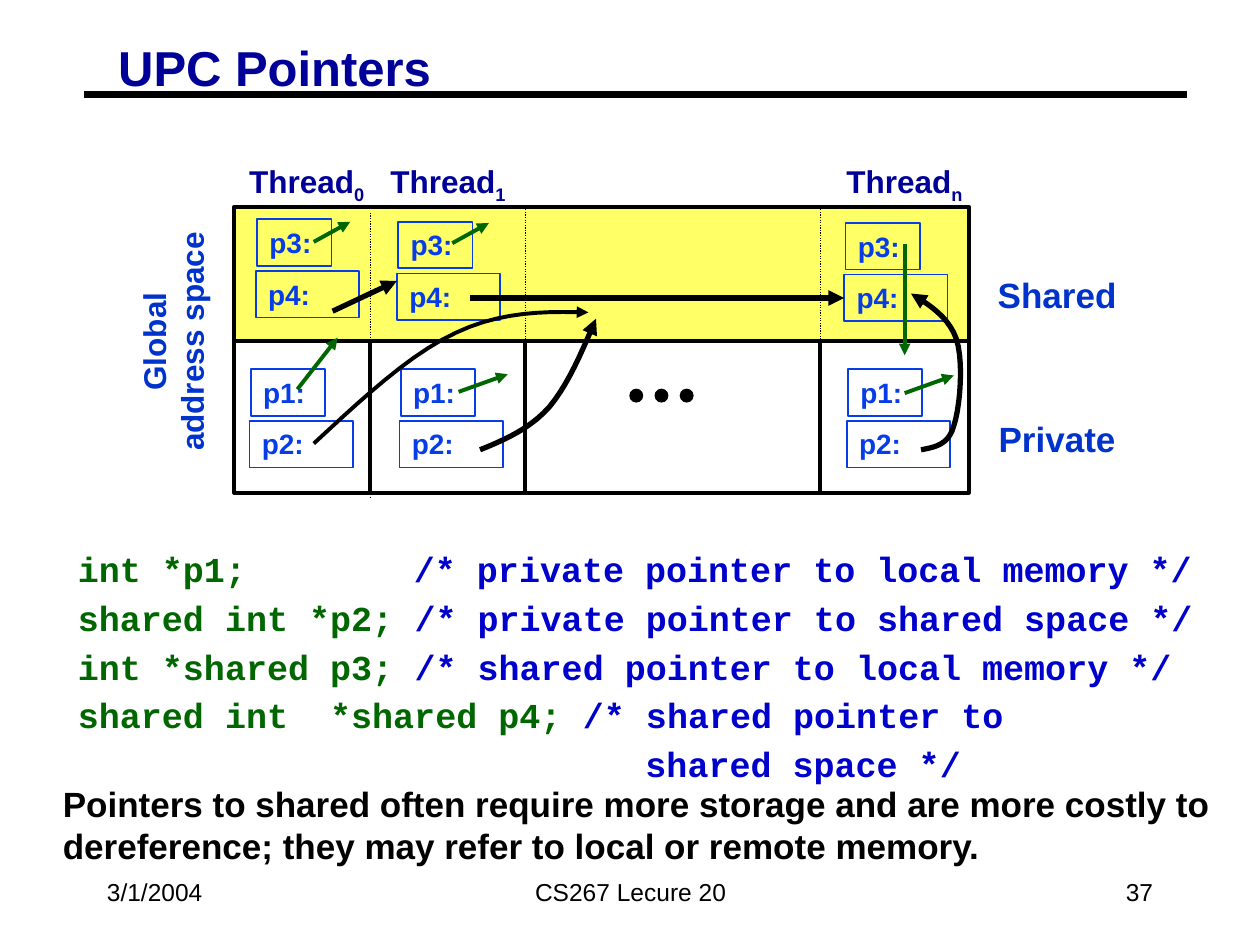
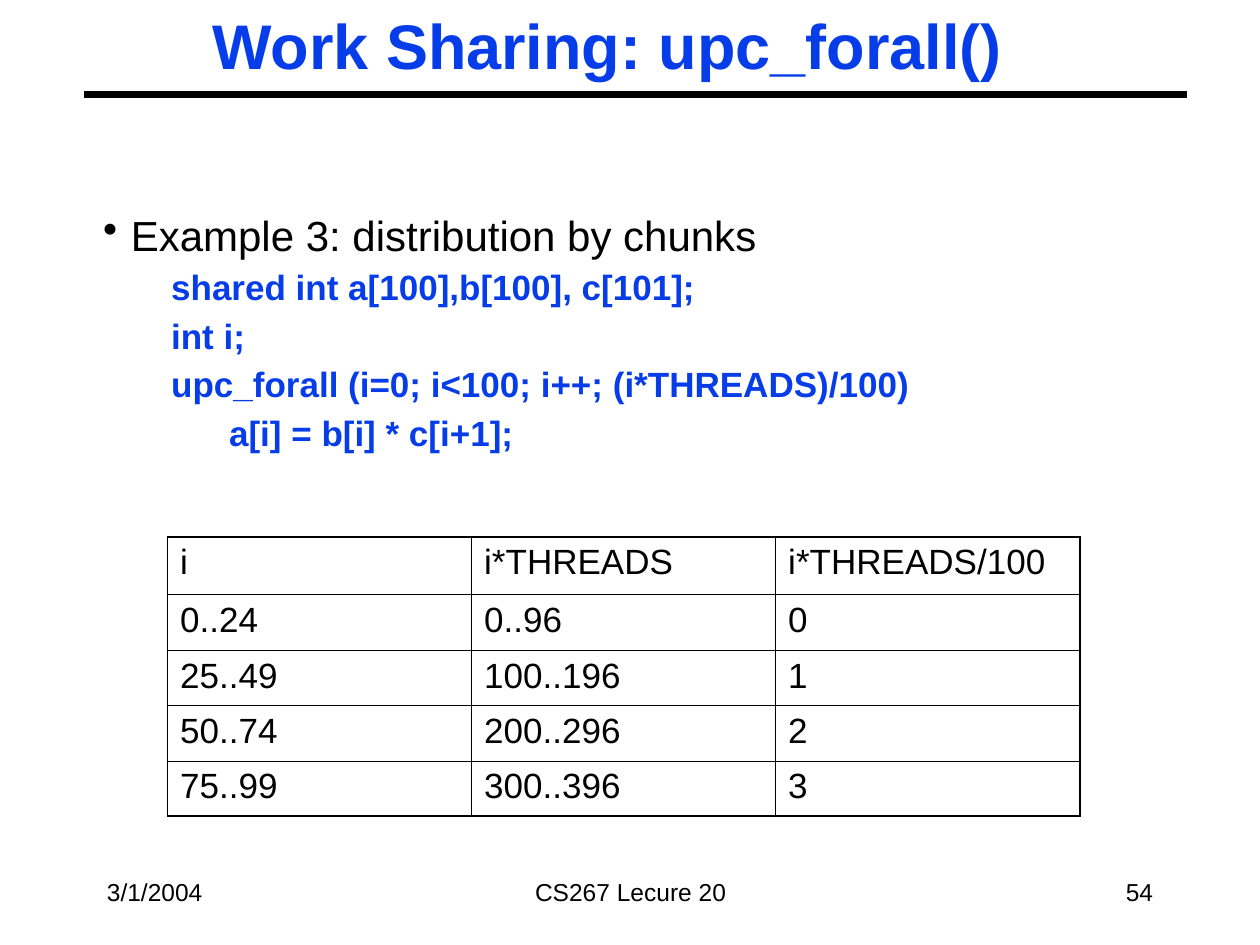
import dataclasses
import lxml.etree
import pptx
import pptx.dml.color
import pptx.enum.dml
import pptx.enum.shapes
import pptx.enum.text
import pptx.oxml.ns
import pptx.util

RGB = pptx.dml.color.RGBColor
BLACK = RGB(0x00, 0x00, 0x00)
NAVY = RGB(0x00, 0x00, 0x99)
BLUE = RGB(0x06, 0x3D, 0xE8)
ROYAL = RGB(0x00, 0x33, 0xCC)
NOTE = RGB(0x00, 0x00, 0xCC)
GREEN = RGB(0x00, 0x66, 0x00)
YELLOW = RGB(0xFF, 0xFF, 0x66)

WIDE, HIGH = pptx.util.Inches(10), pptx.util.Inches(7.5)
COLS, ROWS = 100, 75
ALIGN = pptx.enum.text.PP_ALIGN
MID = pptx.enum.text.MSO_ANCHOR.MIDDLE
RECT = pptx.enum.shapes.MSO_SHAPE.RECTANGLE
OVAL = pptx.enum.shapes.MSO_SHAPE.OVAL
DOTTED = pptx.enum.dml.MSO_LINE.ROUND_DOT
qn = pptx.oxml.ns.qn


def across(cols):
    return round(cols * WIDE / COLS)


def down(rows):
    return round(rows * HIGH / ROWS)


@dataclasses.dataclass
class Box:
    x: float
    y: float
    w: float
    h: float

    def inner(self, x, y, w, h):
        return Box(self.x + x, self.y + y, w, h)

    def spot(self, x, y):
        return across(self.x + x), down(self.y + y)

    def frame(self):
        return across(self.x), down(self.y), across(self.w), down(self.h)


PAGE = Box(0, 0, COLS, ROWS)


def add(parent, tag, **attrs):
    return lxml.etree.SubElement(parent, qn(tag), attrs)


def ink(shape, color, width, dash=None, head=False):
    shape.line.color.rgb = color
    shape.line.width = pptx.util.Pt(width)
    if dash:
        shape.line.dash_style = dash
    props = shape._element.spPr
    if head:
        add(props.find(qn("a:ln")), "a:tailEnd", type="triangle")
    add(props, "a:effectLst")


def style(font, size, color, bold, name):
    font.size = pptx.util.Pt(size)
    font.bold = bold
    font.name = name
    font.color.rgb = color


def fill(para, runs, size, color, bold=False, name="Arial"):
    if isinstance(runs, str):
        para.add_run().text = runs
        style(para.font, size, color, bold, name)
        return
    for text, tint, base in runs:
        run = para.add_run()
        run.text = text
        style(run.font, size, tint, bold, name)
        if base:
            run._r.get_or_add_rPr().set("baseline", str(base * 1000))


def write(frame, lines, size, color, bold=False, name="Arial", align=ALIGN.LEFT,
          anchor=pptx.enum.text.MSO_ANCHOR.TOP, gap=0, tabs=()):
    frame.word_wrap = True
    frame.vertical_anchor = anchor
    for i, runs in enumerate(lines):
        para = frame.paragraphs[0] if i == 0 else frame.add_paragraph()
        para.alignment = align
        if i and gap:
            para.space_before = pptx.util.Pt(gap)
        if tabs:
            stops = add(para._p.get_or_add_pPr(), "a:tabLst")
            for stop in tabs:
                add(stops, "a:tab", pos=str(across(stop)), algn="l")
        fill(para, runs, size, color, bold, name)


def label(slide, box, lines, size, color, **look):
    shape = slide.shapes.add_textbox(*box.frame())
    write(shape.text_frame, lines, size, color, **look)
    return shape


def block(slide, box, kind=RECT, paint=None, color=BLACK, width=2.25):
    shape = slide.shapes.add_shape(kind, *box.frame())
    if paint is None:
        shape.fill.background()
    else:
        shape.fill.solid()
        shape.fill.fore_color.rgb = paint
    ink(shape, color, width)
    return shape


def line(slide, box, start, end, color, width, dash=None, head=False):
    kind = pptx.enum.shapes.MSO_CONNECTOR.STRAIGHT
    link = slide.shapes.add_connector(kind, *box.spot(*start), *box.spot(*end))
    ink(link, color, width, dash, head)
    return link


def curve(slide, box, knots, width, steps=10):
    spots = []
    for k in range(0, len(knots) - 1, 3):
        a, b, c, d = knots[k:k + 4]
        for i in range(1, steps + 1):
            t = i / steps
            u = 1 - t
            spots.append(box.spot(*(
                u**3 * p + 3 * u * u * t * q + 3 * u * t * t * r + t**3 * s
                for p, q, r, s in zip(a, b, c, d))))
    pen = slide.shapes.build_freeform(*box.spot(*knots[0]))
    pen.add_line_segments(spots, close=False)
    shape = pen.convert_to_shape()
    shape.fill.background()
    ink(shape, BLACK, width, head=True)


def base(deck, number):
    slide = deck.slides.add_slide(deck.slide_layouts[6])
    line(slide, PAGE, (6.7, 7.5), (94.2, 7.5), BLACK, 3.75)
    foot = PAGE.inner(7.5, 68.3, 85, 5)
    for x, w, text, align in ((0, 20.8, "3/1/2004", ALIGN.LEFT),
                              (26.7, 31.7, "CS267 Lecure 20", ALIGN.CENTER),
                              (64.2, 20.8, number, ALIGN.RIGHT)):
        label(slide, foot.inner(x, 0, w, foot.h), [text], 14, BLACK,
              align=align, anchor=MID)
    return slide


def stack(slide, box, names):
    pair = []
    for name, x, y, w in zip(names, (0, -0.1), (0, 4.1), (5.9, 8.2)):
        cell = block(slide, box.inner(x, y, w, 3.7), color=BLUE, width=1)
        write(cell.text_frame, [name], 16, BLUE, bold=True)
        pair.append(cell)
    return pair


def memory(slide, box):
    split = 10.7
    block(slide, box.inner(0, 0, box.w, split), paint=YELLOW)
    block(slide, box.inner(0, split, box.w, box.h - split))
    for x, top, end in ((10.8, 0.5, 23.2), (23.1, 0, 19.9), (46.5, 0, 19.9)):
        line(slide, box, (x, top), (x, end), BLACK, 0.75, dash=DOTTED)
        line(slide, box, (x, split), (x, box.h), BLACK, 2.25)
    for i in range(3):
        block(slide, box.inner(31.4 + 2 * i, 14.5, 1, 1), OVAL, BLACK, width=0.75)

    heads = [(text, NAVY, drop) for word, sub in
             (("Thread", "0"), ("\tThread", "1"), ("\tThread", "n"))
             for text, drop in ((word, 0), (sub, -25))]
    label(slide, box.inner(0.2, -4, 60, 4.4), [heads], 18, NAVY, bold=True,
          tabs=(11.2, 47.4))
    for y, text in ((4.5, "Shared"), (15.9, "Private")):
        label(slide, box.inner(59.3, y, 12, 5), [text], 20, ROYAL, bold=True,
              align=ALIGN.CENTER, anchor=MID)
    side = label(slide, box.inner(-14.7, 7.2, 19.6, 7), ["Global address space"],
                 18, ROYAL, bold=True, align=ALIGN.CENTER)
    side.rotation = 270

    for x in (1.3, 13.2, 48.7):
        stack(slide, box.inner(x, 12.9, 8, 8), ("p1:", "p2:"))
    for x, y in ((1.8, 1), (13, 1.2), (48.5, 1.3)):
        last = stack(slide, box.inner(x, y, 8, 8), ("p3:", "p4:"))[1]

    for start, end in (((5, 14.5), (8.2, 10.4)), ((17.8, 14.7), (21.7, 13.3)),
                       ((53.2, 14.8), (57.1, 13.4)), ((6.3, 2.8), (9.2, 1.2)),
                       ((17.3, 2.9), (20.2, 1.3)), ((53.2, 3), (53.2, 11.8))):
        line(slide, box, start, end, GREEN, 2.25, head=True)
    line(slide, box, (7.8, 8.3), (12.9, 5.9), BLACK, 3, head=True)
    far = line(slide, box, (18.7, 7.25), (48.4, 7.25), BLACK, 3, head=True)
    far.end_connect(last, 1)

    curve(slide, box, ((6.3, 18.8), (10.1, 15.3), (13.9, 11.7), (17.6, 10),
                       (21.2, 8.3), (24.7, 8.3), (28.1, 8.4)), 2.25)
    curve(slide, box, ((19.5, 19.3), (21.5, 18.5), (23.5, 17.6), (25, 15.9),
                       (26.5, 14.1), (27.6, 11.5), (28.7, 8.9)), 3)
    curve(slide, box, ((54.5, 19.3), (55.6, 19.1), (56.7, 18.9), (57.1, 17.4),
                       (57.6, 15.9), (57.9, 12.3), (57.3, 10.5),
                       (56.7, 8.8), (55.2, 7.8), (53.7, 6.9)), 3)


def code(slide, box):
    pairs = (("int *p1;", "\t/* private pointer to local memory */"),
             ("shared int *p2;", " /* private pointer to shared space */"),
             ("int *shared p3;", " /* shared pointer to local memory */"),
             ("shared int  *shared p4;", " /* shared pointer to"))
    lines = [((text, GREEN, 0), (note, NOTE, 0)) for text, note in pairs]
    lines.append(" " * 27 + "shared space */")
    label(slide, box, lines, 20, NOTE, bold=True, name="Courier New",
          gap=3.7, tabs=(26.67,))


def points(deck):
    slide = base(deck, "37")
    title = label(slide, PAGE.inner(8.4, 3.1, 85, 4.6), ["UPC Pointers"], 28, NAVY,
                  bold=True)
    title.text_frame.paragraphs[0].line_spacing = 0.87
    memory(slide, PAGE.inner(18.6, 16.4, 58.3, 22.7))
    code(slide, PAGE.inner(5.2, 43, 93.6, 19.3))
    label(slide, PAGE.inner(4, 61.6, 94.8, 7.7),
          ["Pointers to shared often require more storage and are more costly to "
           "dereference; they may refer to local or remote memory."],
          20, BLACK, bold=True)


def sample(slide, box):
    frame = slide.shapes.add_textbox(*box.frame()).text_frame
    frame.word_wrap = True
    rows = (("Example 3: distribution by chunks", 2.2),
            ("shared int a[100],b[100], c[101];", 5.4),
            ("int i;", 5.4),
            ("upc_forall (i=0; i<100; i++; (i*THREADS)/100)", 5.4),
            ("a[i] = b[i] * c[i+1];", 10))
    for i, (text, left) in enumerate(rows):
        para = frame.paragraphs[0] if i == 0 else frame.add_paragraph()
        props = para._p.get_or_add_pPr()
        props.set("marL", str(across(left)))
        if i:
            para.space_before = pptx.util.Pt(3.7)
            fill(para, text, 20, BLUE, bold=True)
        else:
            props.set("indent", str(-across(left)))
            add(props, "a:buChar", char="•")
            fill(para, text, 24, BLACK)


def edge(cell, sides):
    props = cell._tc.get_or_add_tcPr()
    for tag, outer in sides:
        width = pptx.util.Pt(1.08 if outer else 0.45)
        rule = add(props, tag, w=str(int(width)))
        add(add(rule, "a:solidFill"), "a:srgbClr", val=str(BLACK))


def grid(slide, box):
    data = [("i", "i*THREADS", "i*THREADS/100")]
    data += [(f"{25 * n}..{25 * n + 24}", f"{100 * n}..{100 * n + 96}", str(n))
             for n in range(4)]
    high, wide = len(data), len(data[0])
    table = slide.shapes.add_table(high, wide, *box.frame()).table
    table.first_row = table.horz_banding = False
    for col in table.columns:
        col.width = across(box.w / wide)
    for r, row in enumerate(data):
        table.rows[r].height = down(4.4 if r else 4.6)
        for c, text in enumerate(row):
            cell = table.cell(r, c)
            edge(cell, (("a:lnL", c == 0), ("a:lnR", c == wide - 1),
                        ("a:lnT", r == 0), ("a:lnB", r == high - 1)))
            cell.fill.background()
            fill(cell.text_frame.paragraphs[0], text, 20, BLACK)


def share(deck):
    slide = base(deck, "54")
    label(slide, PAGE.inner(13, 0, 70.4, 7), ["Work Sharing: upc_forall()"], 36, BLUE,
          bold=True, align=ALIGN.CENTER)
    sample(slide, PAGE.inner(7.2, 16.1, 85, 20))
    grid(slide, PAGE.inner(13.3, 42.6, 72.4, 22.2))


def main():
    deck = pptx.Presentation()
    deck.slide_width, deck.slide_height = WIDE, HIGH
    points(deck)
    share(deck)
    deck.save("out.pptx")


if __name__ == "__main__":
    main()
